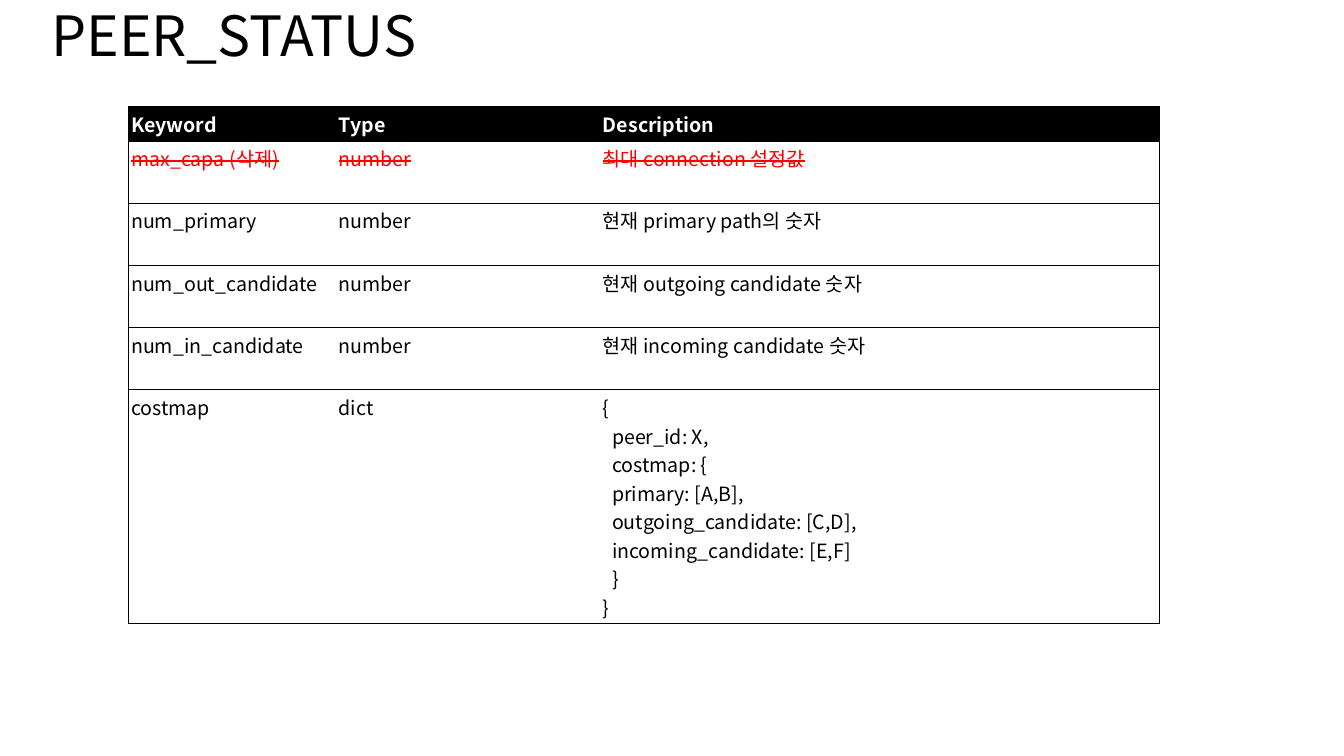
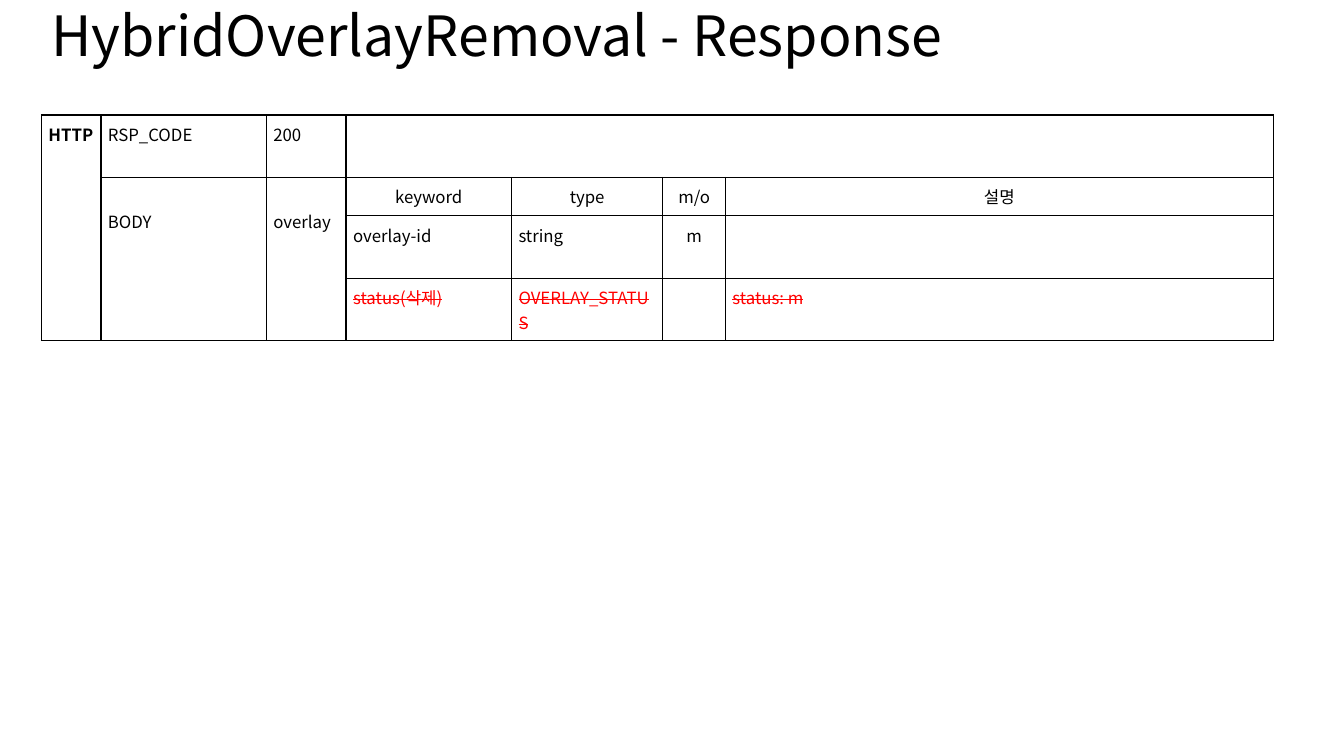
from dataclasses import dataclass

from lxml.etree import SubElement
from pptx import Presentation
from pptx.dml.color import RGBColor
from pptx.enum.text import MSO_ANCHOR, PP_ALIGN
from pptx.oxml.ns import qn
from pptx.util import Inches, Pt


@dataclass(frozen=True)
class Theme:
    """Colours, type sizes and the font that both slides share."""
    font: str = "Noto Sans CJK KR"
    ink: str = "000000"
    paper: str = "FFFFFF"
    deleted: str = "FF0000"
    title_size: float = 39.6
    keyword_size: float = 14
    message_size: float = 12
    rule: float = 1
    code_indent: float = 0.09


@dataclass(frozen=True)
class Box:
    """A region in percent of the slide's width and height."""
    left: float
    top: float
    width: float
    height: float

    def place(self):
        """Return left, top, width and height as slide lengths."""
        across, down = deck.slide_width / 100, deck.slide_height / 100
        return (round(self.left * across), round(self.top * down),
                round(self.width * across), round(self.height * down))


THEME = Theme()
SIDES = ("L", "R", "T", "B")
TITLE_BOX = Box(3.08, 0.27, 93.55, 9.6)
KEYWORD_BOX = Box(9.53, 14.13, 76.74, 68.33)
MESSAGE_BOX = Box(3.08, 15.2, 91.67, 29.87)

deck = Presentation()
deck.slide_width, deck.slide_height = Inches(13.33), Inches(7.5)


def style_text(para, size, colour=THEME.ink, bold=False, strike=False):
    """Format every run of a paragraph."""
    for span in para.runs:
        span.font.size = Pt(size)
        span.font.bold = bold
        span.font.name = THEME.font
        span.font.color.rgb = RGBColor.from_string(colour)
        properties = span.font._element
        SubElement(properties, qn("a:ea")).set("typeface", THEME.font)
        if strike:
            properties.set("strike", "sngStrike")


def add_title(page, box, text):
    """Place the slide title in its box."""
    frame = page.shapes.add_textbox(*box.place()).text_frame
    frame.word_wrap = True
    frame.vertical_anchor = MSO_ANCHOR.MIDDLE
    frame.text = text
    frame.paragraphs[0].line_spacing = 0.9
    style_text(frame.paragraphs[0], THEME.title_size)


def add_grid(page, box, columns, rows):
    """Add an unstyled table whose columns and rows share the box by weight."""
    left, top, width, height = box.place()
    table = page.shapes.add_table(len(rows), len(columns), left, top, width, height).table
    table.first_row = table.horz_banding = False
    for column, weight in zip(table.columns, columns):
        column.width = round(width * weight / sum(columns))
    for row, weight in zip(table.rows, rows):
        row.height = round(height * weight / sum(rows))
    return table


def style_cell(cell, margin, sides=SIDES, fill=THEME.paper):
    """Set the margins, ruled sides and fill of a cell."""
    cell.margin_left = cell.margin_right = Inches(margin)
    cell.margin_top = cell.margin_bottom = Inches(margin)
    properties = cell._tc.get_or_add_tcPr()
    for side in SIDES:
        line = SubElement(properties, qn(f"a:ln{side}"), w=str(Pt(THEME.rule)))
        if side in sides:
            solid = SubElement(line, qn("a:solidFill"))
            SubElement(solid, qn("a:srgbClr"), val=THEME.ink)
        else:
            SubElement(line, qn("a:noFill"))
    cell.fill.solid()
    cell.fill.fore_color.rgb = RGBColor.from_string(fill)


def add_keyword_table(page, box, entries, deleted_row):
    """Place a table with a dark header and rules between its rows."""
    columns = (2.06, 2.62, 5.55)
    rows = (0.34, *[0.62] * (len(entries) - 2), 2.33)
    table = add_grid(page, box, columns, rows)
    for row, entry in enumerate(entries):
        header, deleted = row == 0, row == deleted_row
        colour = THEME.paper if header else THEME.deleted if deleted else THEME.ink
        for column, text in enumerate(entry):
            cell = table.cell(row, column)
            outer = {0: "L", len(columns) - 1: "R"}.get(column, "")
            style_cell(cell, 0.03, "TB" + outer, THEME.ink if header else THEME.paper)
            cell.text_frame.text = text
            paras = cell.text_frame.paragraphs
            for para in paras:
                style_text(para, THEME.keyword_size, colour, header, deleted)
            for para in paras[1:-1]:
                para._p.get_or_add_pPr().set("marL", str(Inches(THEME.code_indent)))


def add_message_table(page, box, entries, merges, deleted_row):
    """Place a fully ruled table that describes one message."""
    columns = (0.59, 1.64, 0.79, 1.64, 1.5, 0.62, 5.43)
    margin, line_height = 0.07, 0.24
    table = add_grid(page, box, columns, (0.62, 0.38, 0.62, 0.62))
    for cell in table.iter_cells():
        style_cell(cell, margin)
    for (top, left), (bottom, right) in merges:
        table.cell(top, left).merge(table.cell(bottom, right))
    for (row, column), text in entries.items():
        cell = table.cell(row, column)
        cell.text_frame.text = text
        para = cell.text_frame.paragraphs[0]
        deleted = row == deleted_row
        style_text(para, THEME.message_size, THEME.deleted if deleted else THEME.ink,
                   bold=column == 0, strike=deleted)
        if (row == 1 and column > 2) or column == 5:
            para.alignment = PP_ALIGN.CENTER
        elif row == 1:
            cell.margin_top = Inches(margin + line_height)


def add_page(title):
    """Add a blank page with the shared title."""
    page = deck.slides.add_slide(deck.slide_layouts[6])
    add_title(page, TITLE_BOX, title)
    return page


COSTMAP = "\n".join((
    "{", "peer_id: X,", "costmap: {", "primary: [A,B],",
    "outgoing_candidate: [C,D],", "incoming_candidate: [E,F]", "}", "}"))

PEER_STATUS = (
    ("Keyword", "Type", "Description"),
    ("max_capa (삭제)", "number", "최대 connection 설정값"),
    ("num_primary", "number", "현재 primary path의 숫자"),
    ("num_out_candidate", "number", "현재 outgoing candidate 숫자"),
    ("num_in_candidate", "number", "현재 incoming candidate 숫자"),
    ("costmap", "dict", COSTMAP),
)

REMOVAL_RESPONSE = {
    (0, 0): "HTTP", (0, 1): "RSP_CODE", (0, 2): "200",
    (1, 1): "BODY", (1, 2): "overlay",
    (1, 3): "keyword", (1, 4): "type", (1, 5): "m/o", (1, 6): "설명",
    (2, 3): "overlay-id", (2, 4): "string", (2, 5): "m",
    (3, 3): "status(삭제)", (3, 4): "OVERLAY_STATUS", (3, 6): "status: m",
}
RESPONSE_MERGES = (
    ((0, 0), (3, 0)), ((0, 3), (0, 6)), ((1, 1), (3, 1)), ((1, 2), (3, 2)))

add_keyword_table(add_page("PEER_STATUS"), KEYWORD_BOX, PEER_STATUS, deleted_row=1)
add_message_table(add_page("HybridOverlayRemoval - Response"), MESSAGE_BOX,
                  REMOVAL_RESPONSE, RESPONSE_MERGES, deleted_row=3)
deck.save("out.pptx")
